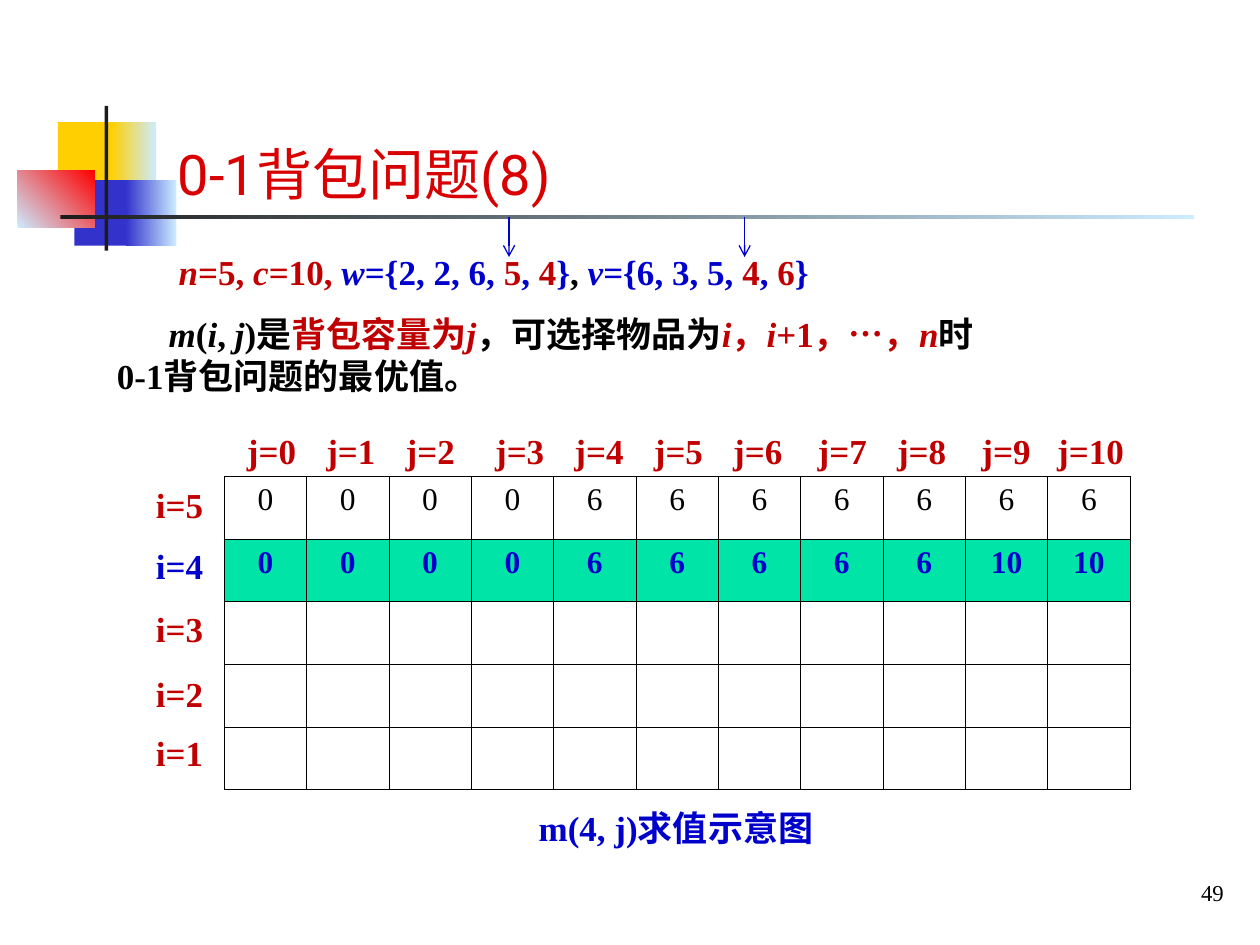
from typing import NamedTuple, Optional

from lxml import etree
from pptx import Presentation
from pptx import util as u
from pptx.dml.color import RGBColor
from pptx.enum import shapes, text
from pptx.oxml.ns import qn

BLACK = RGBColor(0x00, 0x00, 0x00)
WHITE = RGBColor(0xFF, 0xFF, 0xFF)
CRIMSON = RGBColor(0xC0, 0x00, 0x00)
TITLE_RED = RGBColor(0xD8, 0x00, 0x00)
BLUE = RGBColor(0x00, 0x00, 0xCC)
GREEN = RGBColor(0x00, 0xE4, 0xA8)
YELLOW = RGBColor(0xFF, 0xCF, 0x01)
INDIGO = RGBColor(0x33, 0x33, 0xCC)
RED = RGBColor(0xFF, 0x00, 0x00)
PALE = RGBColor(0xCC, 0xEC, 0xFF)
CHARCOAL = RGBColor(0x1C, 0x1C, 0x1C)

SERIF = "Times New Roman"
SANS = "Roboto"
SLIDE_WIDTH, SLIDE_HEIGHT = u.Inches(10), u.Inches(7.5)
GRID_COLUMNS, GRID_ROWS = 100, 75
LEFT, CENTER, RIGHT = text.PP_ALIGN.LEFT, text.PP_ALIGN.CENTER, text.PP_ALIGN.RIGHT


class Box(NamedTuple):
    column: float
    row: float
    columns: float
    rows: float


class Band(NamedTuple):
    box: Box
    start: RGBColor
    end: Optional[RGBColor] = None
    angle: float = 0


class Words(NamedTuple):
    content: str
    color: RGBColor = CRIMSON
    italic: bool = False
    bold: bool = True
    size: float = 20
    font: str = SERIF


BANDS = [
    Band(Box(4.6, 9.7, 4.8, 5.2), YELLOW),
    Band(Box(8.8, 9.7, 3.6, 5.2), YELLOW, PALE),
    Band(Box(5.9, 14.3, 4.6, 5.2), INDIGO),
    Band(Box(10, 14.3, 4, 5.2), INDIGO, PALE),
    Band(Box(1.4, 13.5, 6.1, 4.6), PALE, RED, 45),
    Band(Box(8.3, 8.4, 0.3, 11.5), CHARCOAL),
    Band(Box(4.8, 17.1, 90, 0.3), CHARCOAL, PALE),
]

GIVEN = [
    Words("n", italic=True), Words("=5, "),
    Words("c", italic=True), Words("=10, "),
    Words("w", BLUE, True), Words("={2, 2, 6, ", BLUE),
    Words("5"), Words(", ", BLUE), Words("4"), Words("}", BLUE),
    Words(", ", BLACK),
    Words("v", BLUE, True), Words("={6, 3, 5, ", BLUE),
    Words("4"), Words(", ", BLUE), Words("6"), Words("}", BLUE),
]

DEFINITION = [
    Words("m", BLACK, True), Words("(", BLACK), Words("i", BLACK, True),
    Words(", ", BLACK), Words("j", BLACK, True), Words(")是", BLACK),
    Words("背包容量为"), Words("j", italic=True),
    Words("，可选择物品为", BLACK), Words("i", italic=True),
    Words("，"), Words("i", italic=True), Words("+1，…，"),
    Words("n", italic=True), Words("时0-1背包问题的最优值。", BLACK),
]

TABLE = Box(17.8, 37.8, 71.9, 24.9)
ITEM_ROWS = {5: 37.9, 4: 42.7, 3: 47.7, 2: 52.9, 1: 57.6}
CAPACITY_CENTERS = [21.55, 27.85, 34.15, 41.25, 47.55, 53.85, 60.15, 66.85, 73.15,
                    79.85, 86.55]
LABEL_WIDTH, LABEL_HEIGHT = 9, 4.4
ITEM_CENTER = 14.25
VALUES = {
    5: [0] * 4 + [6] * 7,
    4: [0] * 4 + [6] * 5 + [10] * 2,
}
CURRENT_ITEM = 4
CURRENT_PICKS = [40.4, 59.1]


def across(columns: float) -> int:
    return round(SLIDE_WIDTH * columns / GRID_COLUMNS)


def down(rows: float) -> int:
    return round(SLIDE_HEIGHT * rows / GRID_ROWS)


def place(box: Box) -> tuple:
    return across(box.column), down(box.row), across(box.columns), down(box.rows)


def write(paragraph, words: list, align=LEFT) -> None:
    paragraph.alignment = align
    for part in words:
        run = paragraph.add_run()
        run.text = part.content
        run.font.name = part.font
        run.font.size = u.Pt(part.size)
        run.font.bold = part.bold
        run.font.italic = part.italic
        run.font.color.rgb = part.color


def add_words(slide, box: Box, words: list, align=LEFT, wrap: bool = False):
    frame = slide.shapes.add_textbox(*place(box)).text_frame
    frame.word_wrap = wrap
    write(frame.paragraphs[0], words, align)
    return frame


def add_label(slide, center: float, row: float, label: Words) -> None:
    box = Box(center - LABEL_WIDTH / 2, row, LABEL_WIDTH, LABEL_HEIGHT)
    add_words(slide, box, [label], CENTER)


def add_band(slide, band: Band) -> None:
    bar = slide.shapes.add_shape(shapes.MSO_SHAPE.RECTANGLE, *place(band.box))
    bar.shadow.inherit = False
    bar.line.fill.background()
    if band.end is None:
        bar.fill.solid()
        bar.fill.fore_color.rgb = band.start
        return
    bar.fill.gradient()
    bar.fill.gradient_angle = band.angle
    for stop, color in zip(bar.fill.gradient_stops, (band.start, band.end)):
        stop.color.rgb = color


def add_pointer(slide, column: float) -> None:
    pointer = slide.shapes.add_connector(
        shapes.MSO_CONNECTOR.STRAIGHT,
        across(column), down(17.2), across(column), down(20.4))
    pointer.line.color.rgb = BLUE
    pointer.line.width = u.Pt(0.75)
    outline = pointer.line._get_or_add_ln()
    etree.SubElement(outline, qn("a:tailEnd"), type="arrow")
    etree.SubElement(pointer._element.spPr, qn("a:effectLst"))


def border_cell(cell) -> None:
    properties = cell._tc.get_or_add_tcPr()
    for position, side in enumerate(("a:lnL", "a:lnR", "a:lnT", "a:lnB")):
        edge = etree.Element(qn(side), w=str(u.Pt(0.45)))
        fill = etree.SubElement(edge, qn("a:solidFill"))
        etree.SubElement(fill, qn("a:srgbClr"), val=str(BLACK))
        properties.insert(position, edge)


def add_value_table(slide) -> None:
    table = slide.shapes.add_table(
        len(ITEM_ROWS), len(CAPACITY_CENTERS), *place(TABLE)).table
    table.first_row = table.horz_banding = False
    for row, item in enumerate(ITEM_ROWS):
        current = item == CURRENT_ITEM
        for column in range(len(CAPACITY_CENTERS)):
            cell = table.cell(row, column)
            cell.fill.solid()
            cell.fill.fore_color.rgb = GREEN if current else WHITE
            border_cell(cell)
            if item in VALUES:
                value = Words(str(VALUES[item][column]), BLUE if current else BLACK,
                              bold=current, size=18)
                write(cell.text_frame.paragraphs[0], [value], CENTER)


def add_title(slide) -> None:
    title = slide.shapes.title
    title.left, title.top, title.width, title.height = place(Box(13.1, 6, 84.2, 10.9))
    frame = title.text_frame
    frame.vertical_anchor = text.MSO_ANCHOR.BOTTOM
    frame.auto_size = text.MSO_AUTO_SIZE.NONE
    write(frame.paragraphs[0],
          [Words("0-1背包问题(8)", TITLE_RED, bold=False, size=32, font=SANS)])


def main() -> None:
    deck = Presentation()
    deck.slide_width, deck.slide_height = SLIDE_WIDTH, SLIDE_HEIGHT
    slide = deck.slides.add_slide(deck.slide_layouts[5])
    for band in BANDS:
        add_band(slide, band)
    add_title(slide)
    page = add_words(slide, Box(79, 69, 19.1, 3.7),
                     [Words("49", BLACK, bold=False, size=13)], RIGHT, True)
    page.vertical_anchor = text.MSO_ANCHOR.MIDDLE

    add_value_table(slide)
    for item, row in ITEM_ROWS.items():
        color = BLUE if item == CURRENT_ITEM else CRIMSON
        add_label(slide, ITEM_CENTER, row, Words(f"i={item}", color))
    for capacity, center in enumerate(CAPACITY_CENTERS):
        add_label(slide, center, 33.6, Words(f"j={capacity}"))
    add_words(slide, Box(41.1, 63.5, 25.1, 4.4),
              [Words("m(4, j)求值示意图", BLUE)], CENTER)
    add_words(slide, Box(13.2, 19.4, 52.7, 4.4), GIVEN)
    definition = add_words(slide, Box(8.3, 24.3, 71.5, 7.7), DEFINITION, wrap=True)
    definition.paragraphs[0]._p.get_or_add_pPr().set("indent", str(across(4.1)))
    for column in CURRENT_PICKS:
        add_pointer(slide, column)
    deck.save("out.pptx")


if __name__ == "__main__":
    main()
